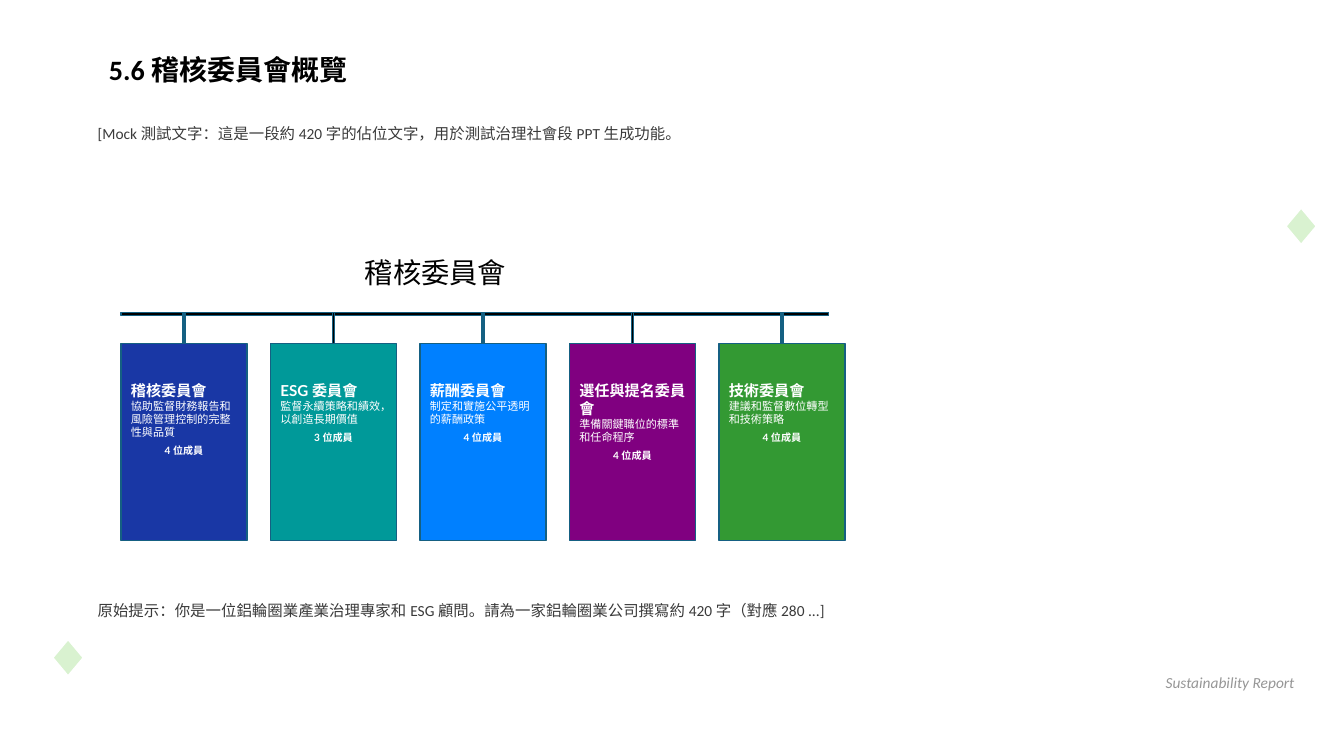
from lxml import etree
from pptx import Presentation
from pptx.dml.color import RGBColor
from pptx.enum.shapes import MSO_SHAPE
from pptx.enum.text import MSO_ANCHOR, MSO_AUTO_SIZE, PP_ALIGN
from pptx.oxml.ns import qn
from pptx.util import Inches, Pt

LEFT, CENTER, RIGHT = PP_ALIGN.LEFT, PP_ALIGN.CENTER, PP_ALIGN.RIGHT
TOP, NO_FIT = MSO_ANCHOR.TOP, MSO_AUTO_SIZE.NONE
RECTANGLE, DIAMOND, ARC = MSO_SHAPE.RECTANGLE, MSO_SHAPE.DIAMOND, MSO_SHAPE.ARC

# Content
TITLE = "5.6 稽核委員會概覽"
INTRODUCTION = "[Mock 測試文字：這是一段約 420 字的佔位文字，用於測試治理社會段 PPT 生成功能。"
CHART_HEADING = "稽核委員會"
COMMITTEES = [
    ("稽核委員會", "協助監督財務報告和風險管理控制的完整性與品質", "4 位成員", "1937A5"),
    ("ESG 委員會", "監督永續策略和績效，以創造長期價值", "3 位成員", "009999"),
    ("薪酬委員會", "制定和實施公平透明的薪酬政策", "4 位成員", "0080FF"),
    ("選任與提名委員會", "準備關鍵職位的標準和任命程序", "4 位成員", "800080"),
    ("技術委員會", "建議和監督數位轉型和技術策略", "4 位成員", "339933"),
]
PROMPT = "原始提示：你是一位鋁輪圈業產業治理專家和 ESG 顧問。請為一家鋁輪圈業公司撰寫約 420 字（對應 280 ...]"
FOOTER = "Sustainability Report"

COLORS = {"black": "000000", "white": "FFFFFF", "body": "3A3A3A",
          "footer": "969696", "outline": "156082", "leaf": "D9F2D0"}

# Layout in inches
FIRST_CARD, LAST_CARD = 1.2, 7.13
CARD_TOP, CARD_WIDTH, CARD_HEIGHT = 3.41, 1.25, 1.95
BAR_TOP, BAR_WIDTH, BAR_HEIGHT, STEM_WIDTH = 3.1, 7.02, 0.03, 0.02
CARD_PITCH = (LAST_CARD - FIRST_CARD) / (len(COMMITTEES) - 1)


def write(paragraph, text, size, color, font="Calibri", bold=False,
          italic=False, align=LEFT, after=0):
    paragraph.alignment = align
    paragraph.space_before = Pt(0)
    paragraph.space_after = Pt(after)
    run = paragraph.add_run()
    run.text = text
    run.font.name = font
    run.font.size = Pt(size)
    run.font.bold = bold
    run.font.italic = italic
    run.font.color.rgb = RGBColor.from_string(color)


def add_text(slide, box, text, **text_format):
    frame = slide.shapes.add_textbox(*map(Inches, box)).text_frame
    frame.word_wrap = True
    write(frame.paragraphs[0], text, **text_format)


def add_shape(slide, kind, box, fill, line, line_width):
    shape = slide.shapes.add_shape(kind, *map(Inches, box))
    shape.shadow.inherit = False
    if fill:
        shape.fill.solid()
        shape.fill.fore_color.rgb = RGBColor.from_string(fill)
    else:
        shape.fill.background()
    shape.line.color.rgb = RGBColor.from_string(line)
    shape.line.width = Pt(line_width)
    return shape


def add_decoration(slide):
    arc = add_shape(slide, ARC, (10.9, -3.38, 4, 4.97), None, COLORS["leaf"], 46.25)
    arc.rotation = 151.3
    # Arc angles are 60000ths of a degree, adjustments are 100000ths
    for index, degrees in enumerate((152.05, 215.37)):
        arc.adjustments[index] = degrees * 0.6
    line_color = arc.line.fill._xPr.find(".//" + qn("a:srgbClr"))
    etree.SubElement(line_color, qn("a:alpha")).set("val", "60000")
    for left, top in ((12.75, 2.06), (0.52, 6.34)):
        add_shape(slide, DIAMOND, (left, top, 0.31, 0.37),
                  COLORS["leaf"], COLORS["white"], 1.5)


def add_committee(slide, left, name, duty, members, color):
    card = add_shape(slide, RECTANGLE, (left, CARD_TOP, CARD_WIDTH, CARD_HEIGHT),
                     color, COLORS["outline"], 1)
    frame = card.text_frame
    frame.word_wrap = True
    frame.vertical_anchor = TOP
    frame.margin_left = frame.margin_right = Inches(0.1)
    frame.margin_top, frame.margin_bottom = Inches(0.37), Inches(0.07)
    style = {"color": COLORS["white"], "font": "Lato"}
    write(frame.paragraphs[0], name, size=10.8, bold=True, **style)
    write(frame.add_paragraph(), duty, size=7.9, after=4, **style)
    write(frame.add_paragraph(), members, size=7.2, bold=True, align=CENTER, **style)
    # Stem from the bar down to the card
    stem_left = left + (CARD_WIDTH - STEM_WIDTH) / 2
    add_shape(slide, RECTANGLE, (stem_left, BAR_TOP, STEM_WIDTH, CARD_TOP - BAR_TOP),
              COLORS["black"], COLORS["outline"], 1)


def main():
    presentation = Presentation()
    presentation.slide_width, presentation.slide_height = Inches(13.33), Inches(7.5)
    slide = presentation.slides.add_slide(presentation.slide_layouts[5])
    add_decoration(slide)

    # Title
    title = slide.shapes.title
    title.left, title.top, title.width, title.height = map(Inches, (0.98, 0.47, 7.87, 1))
    title.text_frame.vertical_anchor = TOP
    title.text_frame.auto_size = NO_FIT
    write(title.text_frame.paragraphs[0], TITLE, size=20, color=COLORS["black"], bold=True)

    # Running text
    for text, top, height in ((INTRODUCTION, 1.18, 1.97), (PROMPT, 5.91, 1.5)):
        add_text(slide, (0.87, top, 10.63, height), text,
                 size=11, color=COLORS["body"], after=4)

    # Committee chart
    add_text(slide, (3.15, 2.48, 2.34, 0.39), CHART_HEADING,
             size=20.2, color=COLORS["black"], font="Lato", align=CENTER)
    add_shape(slide, RECTANGLE, (FIRST_CARD, BAR_TOP, BAR_WIDTH, BAR_HEIGHT),
              COLORS["black"], COLORS["outline"], 1)
    for index, committee in enumerate(COMMITTEES):
        add_committee(slide, FIRST_CARD + index * CARD_PITCH, *committee)

    # Footer
    add_text(slide, (10.58, 6.63, 2.36, 0.47), FOOTER,
             size=11, color=COLORS["footer"], italic=True, align=RIGHT)
    presentation.save("out.pptx")


if __name__ == "__main__":
    main()
